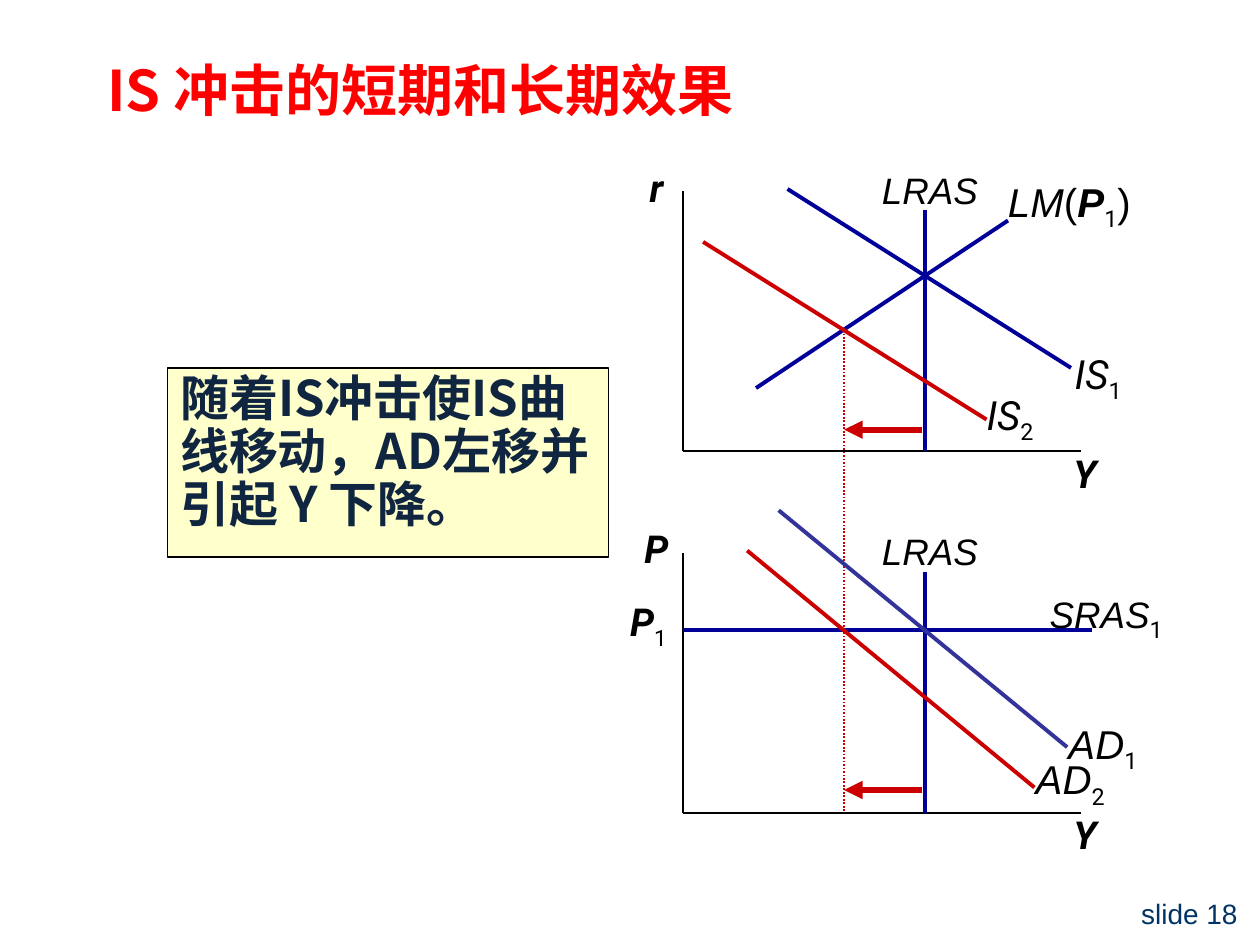
from dataclasses import dataclass

from pptx import Presentation
from pptx.dml.color import RGBColor
from pptx.enum.dml import MSO_LINE
from pptx.enum.shapes import MSO_CONNECTOR
from pptx.enum.text import MSO_ANCHOR as Anchor, MSO_AUTO_SIZE as Fit, PP_ALIGN as Align
from pptx.oxml.ns import qn
from pptx.util import Inches, Pt
from lxml.etree import SubElement as Sub


@dataclass(frozen=True)
class Theme:
    black: str = "000000"
    red: str = "FF0000"
    shift: str = "CC0000"
    curve: str = "000099"
    demand: str = "333399"
    note: str = "10253F"
    paper: str = "FFFFCC"
    foot: str = "003366"
    sans: str = "Arial"
    math: str = "Roboto"
    han: str = "Noto Sans CJK SC"
    head: int = 32
    body: int = 28
    big: int = 23
    axis: int = 22
    small: int = 21
    page: int = 16


T = Theme()
AXIS = dict(size=T.axis, name=T.math, bold=True, italic=True)
SANS = dict(size=T.big, name=T.sans, italic=True)
MATH = SANS | dict(name=T.math)
LRAS = SANS | dict(size=T.small)
SUB = dict(size=T.big, name=T.math, base=-25000)
FLAT = (0, 0, 0, 0)
STEP = 2.87  # distance between the two diagrams


def color(code):
    return RGBColor.from_string(code)


def place(shape, *box):
    for key, val in zip(("left", "top", "width", "height"), box):
        setattr(shape, key, Inches(val))


def add_run(para, text, size, color_code=T.black, base=0, **font):
    run = para.add_run()
    run.text = text
    for key, val in (font | dict(size=Pt(size))).items():
        setattr(run.font, key, val)
    run.font.color.rgb = color(color_code)
    props = run.font._element
    if base:
        props.set("baseline", str(base))
    Sub(props, qn("a:ea")).set("typeface", font["name"])


def fill_text(shape, runs, pad=(0.1, 0.05, 0.1, 0.05), align=Align.LEFT,
              anchor=Anchor.TOP, lead=1.0):
    frame = shape.text_frame
    sides = ("margin_left", "margin_top", "margin_right", "margin_bottom")
    opts = dict(zip(sides, map(Inches, pad)))
    opts |= dict(word_wrap=True, auto_size=Fit.NONE, vertical_anchor=anchor)
    for key, val in opts.items():
        setattr(frame, key, val)
    para = frame.paragraphs[0]
    for key, val in dict(alignment=align, line_spacing=lead, space_before=Pt(0)).items():
        setattr(para, key, val)
    for text, style in runs:
        add_run(para, text, **style)
    return para


def label(slide, box, *runs, **opts):
    shape = slide.shapes.add_textbox(*map(Inches, box))
    fill_text(shape, runs, **opts)


def line(slide, start, end, code=T.curve, width=2.25, dash=None, arrow=False):
    link = slide.shapes.add_connector(
        MSO_CONNECTOR.STRAIGHT, *map(Inches, start + end))
    link.line.color.rgb = color(code)
    link.line.width = Pt(width)
    if dash:
        link.line.dash_style = dash
    if arrow:
        Sub(link.line._get_or_add_ln(), qn("a:tailEnd")).set("type", "triangle")
    Sub(link._element.spPr, qn("a:effectLst"))


def axes(slide, name, drop):
    """Draw the axes, their names and the LRAS line, moved down by drop."""
    base = 3.58 + drop
    line(slide, (5.42, 1.52 + drop), (5.42, base), T.black, 1)
    line(slide, (5.42, base), (8.58, base), T.black, 1)
    label(slide, (8.42, 3.52 + drop, 0.58, 0.47), ("Y", AXIS))
    label(slide, (5, 1.25 + drop, 0.42, 0.47), (name, AXIS), align=Align.CENTER)
    line(slide, (7.34, 1.67 + drop), (7.34, base))
    label(slide, (7, 1.33 + drop, 0.83, 0.33), ("LRAS", LRAS), pad=FLAT)


def curve(slide, start, end, box, name, index, style, code=T.curve, foot=0.0):
    """Draw a line with its name and index."""
    line(slide, start, end, code)
    label(slide, box, (name, style), (index, SUB), pad=(0, 0, 0, foot))


def heading(slide):
    title = slide.shapes.title
    place(title, 0.75, 0.25, 9.17, 0.92)
    style = dict(size=T.head, name=T.han, bold=True, color_code=T.red)
    fill_text(title, [("IS 冲击的短期和长期效果", style)], anchor=Anchor.MIDDLE)


def remark(slide):
    body = slide.placeholders[1]
    place(body, 1.33, 2.92, 3.5, 1.5)
    body.fill.solid()
    body.fill.fore_color.rgb = color(T.paper)
    body.line.color.rgb = color(T.black)
    body.line.width = Pt(0.75)
    style = dict(size=T.body, name=T.han, bold=True, color_code=T.note)
    words = "随着IS冲击使IS曲线移动，AD左移并引起 Y 下降。"
    props = fill_text(body, [(words, style)], lead=0.9)._p.get_or_add_pPr()
    for key in ("marL", "indent"):
        props.set(key, "0")
    Sub(props, qn("a:buNone"))


def main():
    deck = Presentation()
    deck.slide_width, deck.slide_height = Inches(10), Inches(7.5)
    slide = deck.slides.add_slide(deck.slide_layouts[1])
    page = dict(size=T.page, name=T.sans, color_code=T.foot)
    label(slide, (8.67, 7.08, 1.25, 0.33), ("slide 18", page),
          align=Align.RIGHT, anchor=Anchor.MIDDLE)
    heading(slide)
    remark(slide)
    for name, drop in (("r", 0), ("P", STEP)):
        axes(slide, name, drop)

    curve(slide, (6.25, 1.5), (8.5, 2.92), (8.53, 2.77, 0.47, 0.48),
          "IS", "1", MATH, foot=0.1)
    curve(slide, (5.42, 5), (8.67, 5), (8.33, 4.67, 1, 0.42), "SRAS", "1", LRAS)
    label(slide, (5, 4.75, 0.42, 0.5), ("P", AXIS),
          ("1", SUB | dict(size=T.axis)), pad=FLAT)
    plain = SANS | dict(italic=False)
    label(slide, (8, 1.41, 1.03, 0.38), ("LM", SANS), ("(", plain),
          ("P", SANS | dict(bold=True)), ("1", SUB), (")", plain), pad=FLAT)
    line(slide, (6, 3.08), (8, 1.75))

    line(slide, (6.7, 2.62), (6.7, 6.44), T.shift, 1, MSO_LINE.ROUND_DOT)
    curve(slide, (5.58, 1.92), (7.83, 3.33), (7.83, 3.1, 0.57, 0.48),
          "IS", "2", MATH, T.shift, 0.1)
    curve(slide, (5.93, 4.37), (8.21, 6.25), (8.22, 5.99, 0.62, 0.43),
          "AD", "2", SANS, T.shift, 0.05)
    curve(slide, (6.18, 4.05), (8.47, 5.93), (8.48, 5.71, 0.62, 0.43),
          "AD", "1", SANS, T.demand, 0.05)
    for y in (3.41, 6.27):
        line(slide, (7.32, y), (6.7, y), T.shift, 3.5, arrow=True)
    deck.save("out.pptx")


if __name__ == "__main__":
    main()
